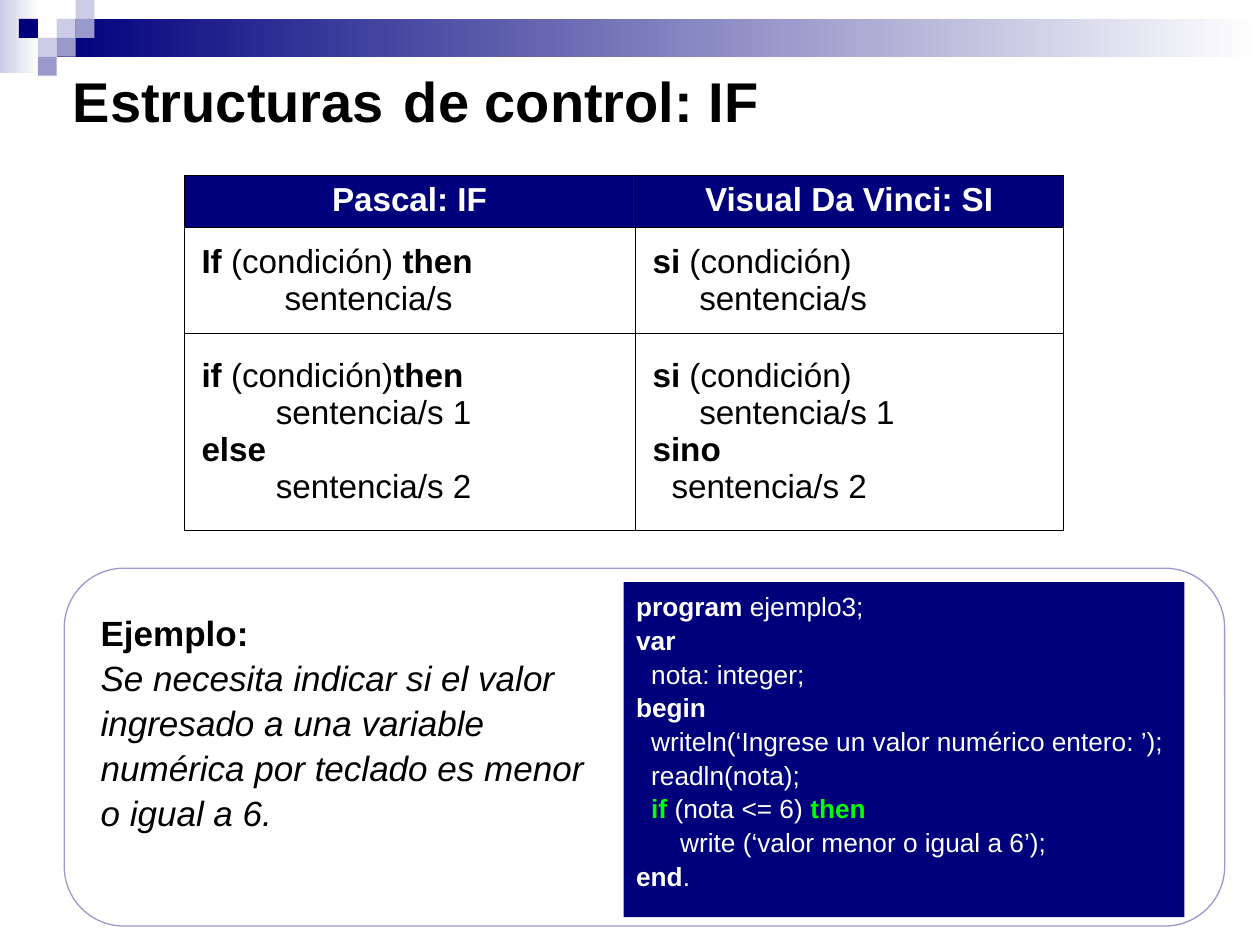
from dataclasses import dataclass
from typing import Any, NamedTuple

from lxml import etree
from pptx import Presentation
from pptx import util as u
from pptx.dml.color import RGBColor
from pptx.enum import shapes, text
from pptx.oxml.ns import qn

NAVY = RGBColor(0x00, 0x00, 0x7D)
LAVENDER = RGBColor(0xCC, 0xCC, 0xE6)
VIOLET = RGBColor(0x99, 0x99, 0xCC)
WHITE = RGBColor(0xFF, 0xFF, 0xFF)
BLACK = RGBColor(0x00, 0x00, 0x00)
GREEN = RGBColor(0x00, 0xFF, 0x00)
GRID = 0.15  # side of a corner square, in inches


class Run(NamedTuple):
    words: str
    format: dict[str, Any] = {}
    color: RGBColor | None = None


class Line(NamedTuple):
    runs: list[Run]
    indent: float = 0


@dataclass
class Box:
    left: float
    top: float
    width: float
    height: float

    def lengths(self) -> list[u.Length]:
        return [u.Inches(n) for n in (self.left, self.top, self.width, self.height)]


class Square(NamedTuple):
    column: int
    row: int
    color: RGBColor


def set_values(target: Any, values: dict[str, Any]) -> None:
    for name, value in values.items():
        setattr(target, name, value)


def bold(words: str, color: RGBColor | None = None) -> Run:
    return Run(words, {"bold": True}, color)


def write(frame: Any, lines: list[Line], size: float, color: RGBColor,
          alignment: Any = text.PP_ALIGN.LEFT, spacing: float = 1.0) -> None:
    for number, line in enumerate(lines):
        paragraph = frame.paragraphs[0] if number == 0 else frame.add_paragraph()
        set_values(paragraph, {"alignment": alignment, "line_spacing": spacing})
        if line.indent:
            paragraph._p.get_or_add_pPr().set("marL", str(u.Inches(line.indent)))
        for item in line.runs:
            run = paragraph.add_run()
            run.text = item.words
            base = {"name": "Arial", "size": u.Pt(size), "bold": False}
            set_values(run.font, base | item.format)
            run.font.color.rgb = item.color or color


def add_block(slide: Any, kind: Any, box: Box, fill: RGBColor | None = None) -> Any:
    shape = slide.shapes.add_shape(kind, *box.lengths())
    shape.shadow.inherit = False
    shape.line.fill.background()
    if fill is None:
        shape.fill.background()
    else:
        shape.fill.solid()
        shape.fill.fore_color.rgb = fill
    return shape


def add_gradient(slide: Any, box: Box, start: RGBColor) -> None:
    fill = add_block(slide, shapes.MSO_SHAPE.RECTANGLE, box).fill
    fill.gradient()
    fill.gradient_angle = 0
    for stop, color, position in zip(fill.gradient_stops, (start, WHITE), (0, 1)):
        stop.color.rgb = color
        stop.position = position


def add_text(slide: Any, box: Box, bottom: float, anchor: Any) -> Any:
    frame = slide.shapes.add_textbox(*box.lengths()).text_frame
    set_values(frame, {"word_wrap": True, "vertical_anchor": anchor,
                       "margin_bottom": u.Inches(bottom)})
    return frame


def add_borders(cell: Any) -> None:
    properties = cell._tc.get_or_add_tcPr()
    for position, side in enumerate(("a:lnL", "a:lnR", "a:lnT", "a:lnB")):
        border = etree.Element(qn(side), w=str(u.Pt(0.45)))
        solid = etree.SubElement(border, qn("a:solidFill"))
        etree.SubElement(solid, qn("a:srgbClr"), val=str(BLACK))
        properties.insert(position, border)


SQUARES = [
    Square(3, 1, LAVENDER), Square(4, 0, LAVENDER), Square(4, 1, VIOLET),
    Square(2, 2, LAVENDER), Square(1, 1, NAVY), Square(3, 2, VIOLET),
    Square(2, 3, VIOLET),
]
COLUMNS = [3.58, 3.4]
ROWS = [0.39, 0.84, 1.56]
SI = Line([bold("si"), Run(" (condición)")])
CELLS = [
    [[Line([bold("Pascal: IF")])], [Line([bold("Visual Da Vinci: SI")])]],
    [
        [Line([bold("If "), Run("(condición)"), bold(" then")]),
         Line([Run("sentencia/s")], 0.66)],
        [SI, Line([Run("sentencia/s")], 0.37)],
    ],
    [
        [Line([bold("if "), Run("(condición)"), bold("then")]),
         Line([Run("sentencia/s 1")], 0.59),
         Line([bold("else")]),
         Line([Run("sentencia/s 2")], 0.59)],
        [SI,
         Line([Run("sentencia/s 1")], 0.37),
         Line([bold("sino")]),
         Line([Run("sentencia/s 2")], 0.15)],
    ],
]
EXAMPLE = [
    Line([bold("Ejemplo:")]),
    Line([Run("Se necesita indicar si el valor ingresado a una variable "
              "numérica por teclado es menor o igual a 6.", {"italic": True})]),
]
PROGRAM = [
    Line([bold("program"), Run(" ejemplo3;")]),
    Line([bold("var")]),
    Line([Run("nota: integer;")], 0.12),
    Line([bold("begin")]),
    Line([Run("writeln(‘Ingrese un valor numérico entero: ’);")], 0.12),
    Line([Run("readln(nota);")], 0.12),
    Line([bold("if", GREEN), Run(" (nota <= 6) "), bold("then", GREEN)], 0.12),
    Line([Run("write (‘valor menor o igual a 6’);")], 0.35),
    Line([bold("end"), Run(".")]),
]


def add_comparison(slide: Any) -> None:
    box = Box(1.46, 1.39, sum(COLUMNS), sum(ROWS))
    table = slide.shapes.add_table(len(ROWS), len(COLUMNS), *box.lengths()).table
    set_values(table, {"first_row": False, "horz_banding": False})
    for column, width in zip(table.columns, COLUMNS):
        column.width = u.Inches(width)
    for number, (row, height) in enumerate(zip(table.rows, ROWS)):
        row.height = u.Inches(height)
        header = number == 0
        for cell, lines in zip(row.cells, CELLS[number]):
            margins = dict.fromkeys(
                ("margin_right", "margin_top", "margin_bottom"), u.Inches(0.05))
            margins["margin_left"] = u.Inches(0.05 if header else 0.14)
            set_values(cell, margins)
            if header:
                cell.fill.solid()
                cell.fill.fore_color.rgb = NAVY
                write(cell.text_frame, lines, 19, WHITE, text.PP_ALIGN.CENTER)
            else:
                cell.fill.background()
                cell.vertical_anchor = text.MSO_ANCHOR.MIDDLE
                write(cell.text_frame, lines, 19, BLACK)
            add_borders(cell)


def main() -> None:
    presentation = Presentation()
    presentation.slide_width = u.Inches(10)
    presentation.slide_height = u.Inches(7.5)
    slide = presentation.slides.add_slide(presentation.slide_layouts[6])
    rectangle = shapes.MSO_SHAPE.RECTANGLE

    # Header band and corner squares
    add_gradient(slide, Box(0, 0, 0.31, 0.58), LAVENDER)
    add_gradient(slide, Box(0.45, 0.15, 9.55, 0.3), NAVY)
    for square in SQUARES:
        box = Box(square.column * GRID, square.row * GRID, GRID, GRID)
        add_block(slide, rectangle, box, square.color)

    # Title
    title = add_text(slide, Box(0.48, 0.24, 8.5, 0.94), 0.1, text.MSO_ANCHOR.BOTTOM)
    gap = Run(" ", {"size": u.Pt(40)})
    write(title, [Line([bold("Estructuras"), gap, bold("de control: IF")])], 32, BLACK)

    # Comparison table
    add_comparison(slide)

    # Example and its program, inside a rounded frame
    example = add_text(slide, Box(0.7, 4.78, 4.22, 2.1), 0.05, text.MSO_ANCHOR.TOP)
    write(example, EXAMPLE, 20, BLACK, spacing=1.07)
    code = add_block(slide, rectangle, Box(4.95, 4.62, 4.45, 2.66), NAVY).text_frame
    set_values(code, {"word_wrap": True, "vertical_anchor": text.MSO_ANCHOR.TOP})
    write(code, PROGRAM, 15, WHITE, spacing=1.07)
    frame = add_block(slide, shapes.MSO_SHAPE.ROUNDED_RECTANGLE, Box(0.51, 4.51, 9.21, 2.84))
    set_values(frame.line, {"width": u.Pt(0.75)})
    frame.line.color.rgb = VIOLET

    presentation.save("out.pptx")


if __name__ == "__main__":
    main()
